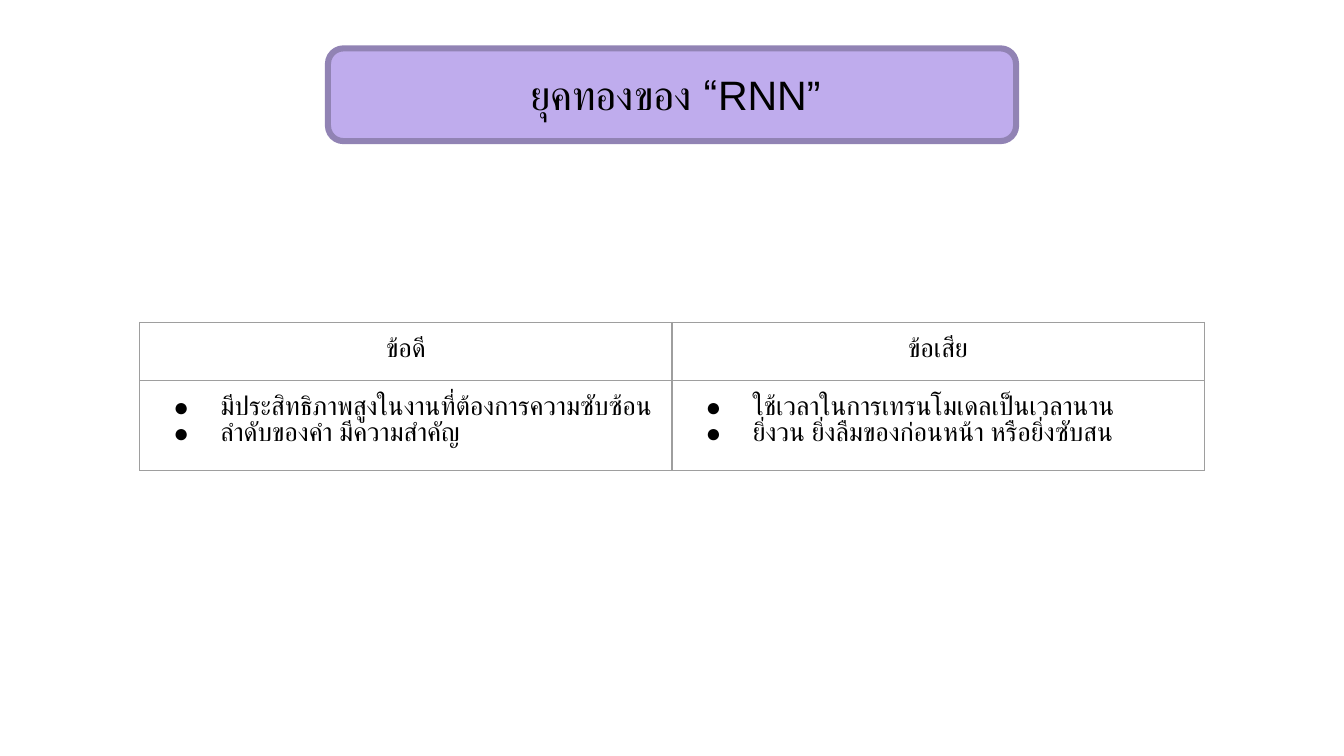
"""Build a slide on the pros and cons of RNN models."""
from lxml.etree import SubElement
from pptx import Presentation
from pptx.dml.color import RGBColor
from pptx.enum.shapes import MSO_SHAPE
from pptx.enum.text import MSO_ANCHOR, PP_ALIGN
from pptx.oxml import parse_xml
from pptx.oxml.ns import nsdecls, qn
from pptx.util import Inches, Pt

HUES = {"text": "000000", "fill": "BFACED", "edge": "9183B4", "grid": "9E9E9E"}


def write(frame, text, size=14, align=PP_ALIGN.LEFT, space=None, bullet=None, pad=(0.1, 0.1)):
    frame.word_wrap = True
    frame.margin_left = frame.margin_right = Inches(pad[0])
    frame.margin_top = frame.margin_bottom = Inches(pad[1])
    for i, line in enumerate(text.split("\n")):
        para = frame.add_paragraph() if i else frame.paragraphs[0]
        para.alignment = align
        if space:
            para.line_spacing = space
        if bullet:
            props = para._p.get_or_add_pPr()
            props.set("marL", str(Inches(0.5)))
            props.set("indent", str(Inches(-0.35)))
            color = SubElement(props, qn("a:buClr"))
            SubElement(color, qn("a:srgbClr"), val=HUES["text"])
            SubElement(props, qn("a:buFont"), typeface="Arial")
            SubElement(props, qn("a:buChar"), char=bullet)
        run = para.add_run()
        run.text = line
        run.font.name = "Arial"
        run.font.size = Pt(size)
        run.font.color.rgb = RGBColor.from_string(HUES["text"])


deck = Presentation()
deck.slide_width = Inches(10)
deck.slide_height = deck.slide_width * 9 // 16
slide = deck.slides.add_slide(deck.slide_layouts[6])

panel = slide.shapes.add_shape(
    MSO_SHAPE.ROUNDED_RECTANGLE, Inches(2.44), Inches(0.36), Inches(5.12), Inches(0.69))
panel.shadow.inherit = False
panel.fill.solid()
panel.fill.fore_color.rgb = RGBColor.from_string(HUES["fill"])
panel.line.color.rgb = RGBColor.from_string(HUES["edge"])
panel.line.width = Pt(3.25)

title = slide.shapes.add_textbox(Inches(2.49), Inches(0.51), Inches(5.07), Inches(0.42))
title.text_frame.vertical_anchor = MSO_ANCHOR.MIDDLE
write(title.text_frame, "ยุคทองของ “RNN”", size=22, align=PP_ALIGN.CENTER, space=0.9, pad=(0.07, 0.04))

rows = [
    ["ข้อดี", "ข้อเสีย"],
    ["มีประสิทธิภาพสูงในงานที่ต้องการความซับซ้อน\nลำดับของคำ มีความสำคัญ",
     "ใช้เวลาในการเทรนโมเดลเป็นเวลานาน\nยิ่งวน ยิ่งลืมของก่อนหน้า หรือยิ่งซับสน"],
]
holder = slide.shapes.add_table(
    2, 2, Inches(1.04), Inches(2.4), Inches(7.92), Inches(0.84))
table = holder.table
table.first_row = table.horz_banding = False
for r, row in enumerate(rows):
    table.rows[r].height = Inches(0.42)
    for c, text in enumerate(row):
        cell = table.cell(r, c)
        cell.fill.background()
        for i, side in enumerate(["lnL", "lnR", "lnT", "lnB"]):
            cell._tc.get_or_add_tcPr().insert(i, parse_xml(
                f'<a:{side} {nsdecls("a")} w="{Pt(0.75)}" cap="flat" cmpd="sng"><a:solidFill>'
                f'<a:srgbClr val="{HUES["grid"]}"/></a:solidFill>'
                f'<a:prstDash val="solid"/></a:{side}>'))
        cell.margin_left = cell.margin_right = Inches(0.1)
        cell.margin_top = cell.margin_bottom = Inches(0.1)
        if r:
            write(cell.text_frame, text, bullet="●")
        else:
            write(cell.text_frame, text, align=PP_ALIGN.CENTER)
holder.width = holder.height = Inches(3.28)

deck.save("out.pptx")
